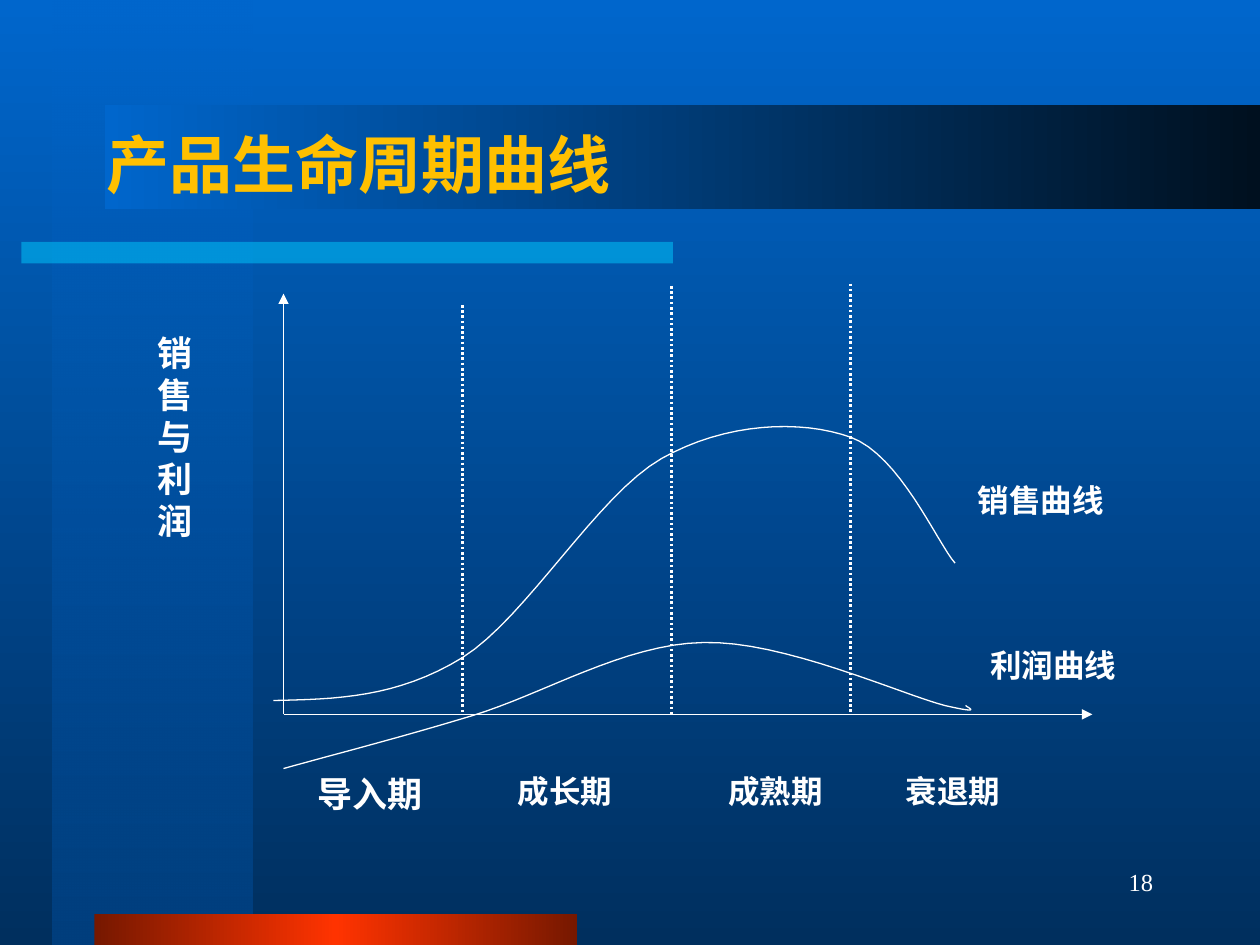
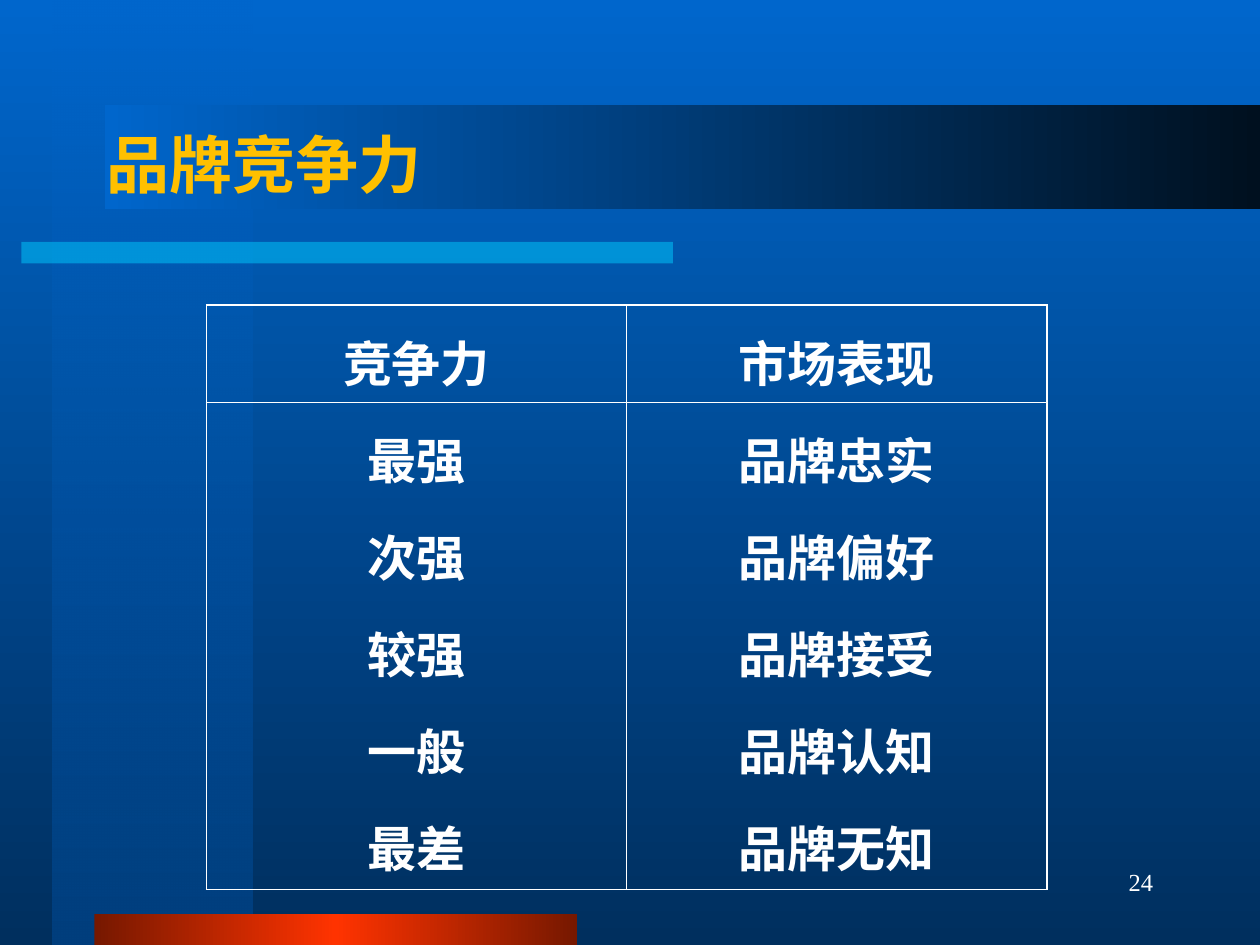
from lxml import etree
from pptx import Presentation
from pptx.dml.color import RGBColor
from pptx.enum.dml import MSO_LINE
from pptx.enum.shapes import MSO_CONNECTOR, MSO_SHAPE
from pptx.enum.text import MSO_ANCHOR, PP_ALIGN
from pptx.oxml.ns import qn
from pptx.util import Inches, Pt

# Colours
WHITE = RGBColor(0xFF, 0xFF, 0xFF)
GOLD = RGBColor(0xFF, 0xC0, 0x00)
SKY = RGBColor(0x00, 0x66, 0xCC)
NAVY = RGBColor(0x00, 0x2F, 0x5E)
PANEL_BLUE = RGBColor(0x00, 0x3F, 0x7E)
MIDNIGHT = RGBColor(0x00, 0x10, 0x1F)
CYAN = RGBColor(0x00, 0xCC, 0xFF)
RED = RGBColor(0xFF, 0x33, 0x00)
DARK_RED = RGBColor(0x76, 0x18, 0x00)

# Fonts
CHINESE_FONT = "Noto Sans CJK SC"
SERIF = "Times New Roman"
SANS = "Arial"


def add_alpha(color, percent):
    etree.SubElement(color, qn("a:alpha"), val=str(percent * 1000))


def set_gradient(fill, element, stops, angle):
    """Fill with (position, colour, opacity) stops, angle clockwise."""
    fill.gradient()
    fill.gradient_angle = (360 - angle) % 360
    stop_list = element.find(".//" + qn("a:gsLst"))
    for stop in list(stop_list):
        stop_list.remove(stop)
    for position, color, opacity in stops:
        stop = etree.SubElement(stop_list, qn("a:gs"), pos=str(position * 1000))
        value = etree.SubElement(stop, qn("a:srgbClr"), val=str(color))
        if opacity < 100:
            add_alpha(value, opacity)


def bezier_points(start, segments, steps=16):
    """Points along a chain of cubic curves, each (control, control, end)."""
    points = [start]
    for first, second, end in segments:
        origin = points[-1]
        for step in range(1, steps + 1):
            t = step / steps
            u = 1 - t
            points.append(tuple(
                u ** 3 * a + 3 * u * u * t * b + 3 * u * t * t * c + t ** 3 * d
                for a, b, c, d in zip(origin, first, second, end)))
    return points


class Deck:
    def __init__(self):
        self.presentation = Presentation()
        self.presentation.slide_width = Inches(10)
        self.presentation.slide_height = Inches(7.5)
        self.slide = None

    def new_slide(self, title, number):
        layout = self.presentation.slide_layouts[6]
        self.slide = self.presentation.slides.add_slide(layout)
        set_gradient(self.slide.background.fill, self.slide.element,
                     [(0, SKY, 100), (100, NAVY, 100)], 90)
        # Decorative bands
        self.gradient_band(0.42, 0, 1.58, 7.5, [(0, SKY, 50), (100, PANEL_BLUE, 100)], 90)
        underline = self.band(0.17, 1.92, 5.17, 0.17)
        underline.fill.solid()
        underline.fill.fore_color.rgb = CYAN
        add_alpha(underline.element.spPr.find(".//" + qn("a:srgbClr")), 50)
        self.gradient_band(0.75, 7.25, 3.83, 0.25,
                           [(0, DARK_RED, 100), (50, RED, 100), (100, DARK_RED, 100)], 0)
        self.gradient_band(0.83, 0.83, 9.17, 0.83, [(0, SKY, 100), (100, MIDNIGHT, 100)], 0)
        # Title and page number
        self.text(title, 0.75, 0.67, 8.5, 1.25, 36, CHINESE_FONT, GOLD,
                  anchor=MSO_ANCHOR.MIDDLE, wrap=True)
        self.text(number, 7.17, 6.75, 2.08, 0.5, 14, bold=False,
                  align=PP_ALIGN.RIGHT, anchor=MSO_ANCHOR.MIDDLE, wrap=True)

    def band(self, left, top, width, height):
        shape = self.slide.shapes.add_shape(
            MSO_SHAPE.RECTANGLE, Inches(left), Inches(top), Inches(width), Inches(height))
        shape.shadow.inherit = False
        shape.line.fill.background()
        return shape

    def gradient_band(self, left, top, width, height, stops, angle):
        shape = self.band(left, top, width, height)
        set_gradient(shape.fill, shape.element.spPr, stops, angle)

    def format_paragraph(self, paragraph, size, font, color, bold, align):
        paragraph.alignment = align
        for run in paragraph.runs:
            run.font.size = Pt(size)
            run.font.name = font
            run.font.bold = bold
            run.font.color.rgb = color
            latin = run.font._element.find(qn("a:latin"))
            latin.addnext(latin.makeelement(qn("a:ea"), {"typeface": CHINESE_FONT}))

    def text(self, words, left, top, width, height, size, font=SERIF, color=WHITE,
             bold=True, align=PP_ALIGN.LEFT, anchor=MSO_ANCHOR.TOP, wrap=False):
        box = self.slide.shapes.add_textbox(
            Inches(left), Inches(top), Inches(width), Inches(height))
        frame = box.text_frame
        frame.word_wrap = wrap
        frame.vertical_anchor = anchor
        frame.text = words
        for paragraph in frame.paragraphs:
            self.format_paragraph(paragraph, size, font, color, bold, align)
        return frame

    def label(self, words, left, top, width, height, size=18):
        """Chart label with tight, fixed line spacing."""
        frame = self.text(words, left, top, width, height, size)
        for paragraph in frame.paragraphs:
            paragraph.line_spacing = Pt(size * 1.2)

    def line(self, start, end, width=0.75, dotted=False, arrow=False):
        connector = self.slide.shapes.add_connector(
            MSO_CONNECTOR.STRAIGHT, *(Inches(value) for value in start + end))
        connector.line.color.rgb = WHITE
        connector.line.width = Pt(width)
        if dotted:
            connector.line.dash_style = MSO_LINE.ROUND_DOT
        properties = connector.element.spPr
        if arrow:
            etree.SubElement(properties.find(qn("a:ln")), qn("a:tailEnd"), type="triangle")
        etree.SubElement(properties, qn("a:effectLst"))

    def curve(self, start, segments):
        points = [(Inches(x), Inches(y)) for x, y in bezier_points(start, segments)]
        builder = self.slide.shapes.build_freeform(*points[0])
        builder.add_line_segments(points[1:], close=False)
        shape = builder.convert_to_shape()
        shape.shadow.inherit = False
        shape.fill.background()
        shape.line.color.rgb = WHITE
        shape.line.width = Pt(0.75)

    def table(self, rows, left, top, widths, heights, size):
        table = self.slide.shapes.add_table(
            len(rows), len(widths), Inches(left), Inches(top),
            Inches(sum(widths)), Inches(sum(heights))).table
        table.first_row = table.horz_banding = False
        for column, width in zip(table.columns, widths):
            column.width = Inches(width)
        last_row, last_column = len(rows) - 1, len(widths) - 1
        for i, row in enumerate(rows):
            table.rows[i].height = Inches(heights[i])
            for j, words in enumerate(row):
                cell = table.cell(i, j)
                cell.fill.background()
                cell.text_frame.text = words
                for paragraph in cell.text_frame.paragraphs:
                    paragraph.line_spacing = 1.2
                    paragraph.space_before = Pt(7)
                    self.format_paragraph(paragraph, size, SANS, WHITE, True, PP_ALIGN.CENTER)
                self.cell_borders(cell, L=j == 0, R=j == last_column,
                                  T=i == 0, B=i == last_row)

    def cell_borders(self, cell, **outer_sides):
        properties = cell._tc.get_or_add_tcPr()
        for index, (side, outer) in enumerate(outer_sides.items()):
            border = properties.makeelement(
                qn("a:ln" + side), {"w": str(Pt(1.08 if outer else 0.45))})
            fill = etree.SubElement(border, qn("a:solidFill"))
            etree.SubElement(fill, qn("a:srgbClr"), val=str(WHITE))
            properties.insert(index, border)


def life_cycle_slide(deck):
    deck.new_slide("产品生命周期曲线", "18")
    # Axes
    origin = (2.25, 5.67)
    for axis_end in ((2.25, 2.33), (8.67, 5.67)):
        deck.line(origin, axis_end, arrow=True)
    # Sales and profit curves
    deck.curve((2.17, 5.56), [
        ((2.66, 5.55), (3.15, 5.54), (3.67, 5.22)),
        ((4.18, 4.9), (4.74, 3.93), (5.25, 3.64)),
        ((5.76, 3.35), (6.36, 3.33), (6.75, 3.47)),
        ((7.14, 3.61), (7.44, 4.31), (7.58, 4.47))])
    deck.curve((2.25, 6.1), [
        ((2.72, 5.97), (3.19, 5.85), (3.75, 5.68)),
        ((4.31, 5.51), (4.96, 5.11), (5.58, 5.1)),
        ((6.21, 5.08), (7.15, 5.51), (7.5, 5.6)),
        ((7.85, 5.68), (7.64, 5.6), (7.67, 5.6))])
    # Stage dividers
    for x, top, bottom in ((3.67, 2.42, 5.67), (5.33, 2.27, 5.68), (6.75, 2.25, 5.67)):
        deck.line((x, top), (x, bottom), width=1.5, dotted=True)
    # Labels
    deck.label("\n".join("销售与利润"), 1.15, 2.58, 0.48, 1.77, size=20)
    deck.label("导入期", 2.42, 6.08, 1.1, 0.44, size=20)
    for stage, left in (("成长期", 4.01), ("成熟期", 5.68), ("衰退期", 7.09)):
        deck.label(stage, left, 6.08, 0.98, 0.4)
    deck.label("销售曲线", 7.66, 3.77, 1.25, 0.4)
    deck.label("利润曲线", 7.76, 5.08, 1.25, 0.4)


def brand_strength_slide(deck):
    deck.new_slide("品牌竞争力", "24")
    strengths = ["最强", "次强", "较强", "一般", "最差"]
    results = ["品牌忠实", "品牌偏好", "品牌接受", "品牌认知", "品牌无知"]
    deck.table([("竞争力", "市场表现"), ("\n".join(strengths), "\n".join(results))],
               1.64, 2.42, widths=(3.33, 3.34), heights=(0.77, 3.87), size=28)


def main():
    deck = Deck()
    life_cycle_slide(deck)
    brand_strength_slide(deck)
    deck.presentation.save("out.pptx")


if __name__ == "__main__":
    main()
